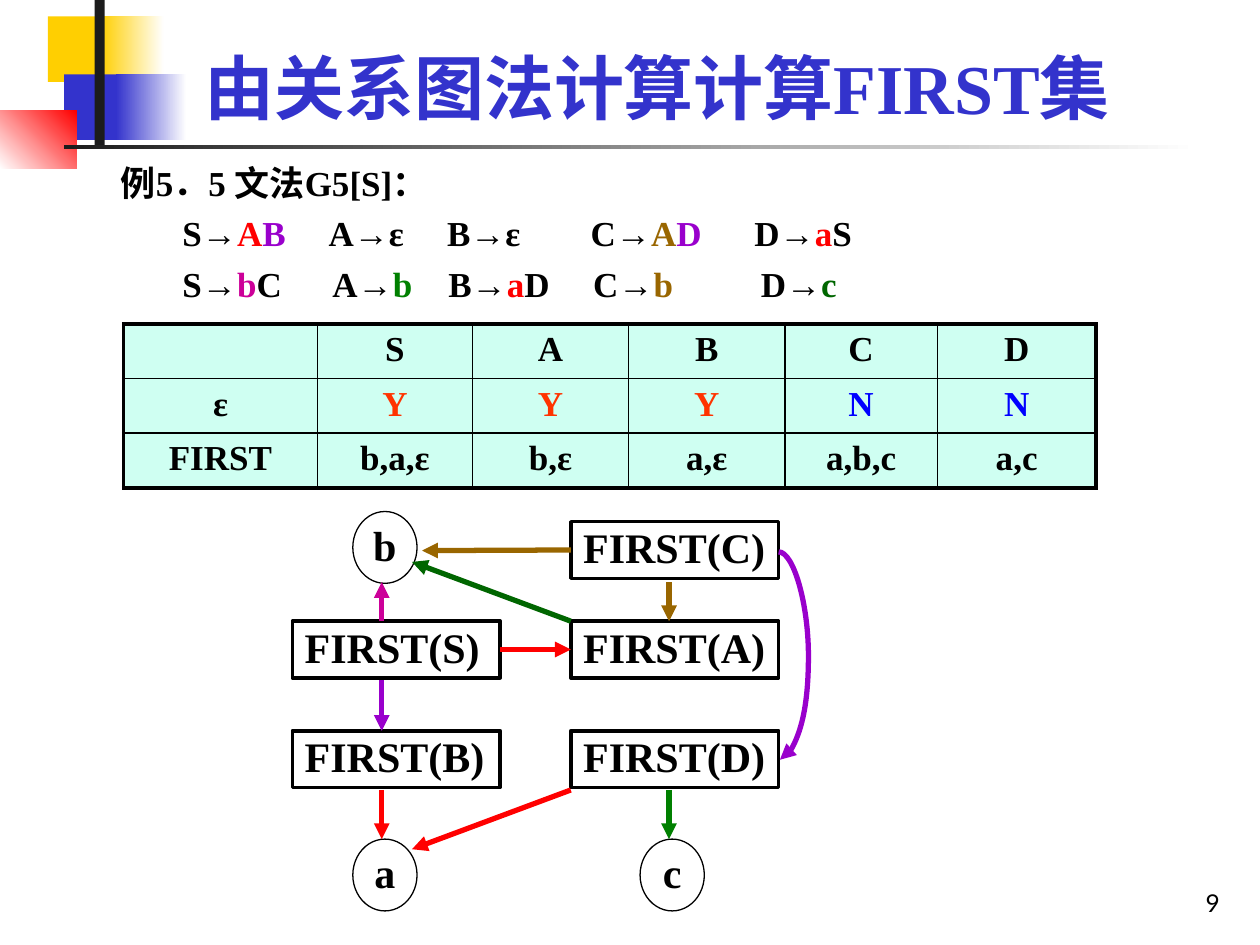
from lxml import etree
from pptx import Presentation
from pptx.dml.color import RGBColor
from pptx.enum.shapes import MSO_CONNECTOR, MSO_SHAPE
from pptx.enum.text import MSO_ANCHOR, PP_ALIGN
from pptx.oxml.ns import qn
from pptx.util import Inches, Pt

RECT, OVAL = MSO_SHAPE.RECTANGLE, MSO_SHAPE.OVAL
STRAIGHT, CURVE = MSO_CONNECTOR.STRAIGHT, MSO_CONNECTOR.CURVE
LEFT, CENTER, RIGHT = PP_ALIGN.LEFT, PP_ALIGN.CENTER, PP_ALIGN.RIGHT
TOP, MIDDLE, BOTTOM = MSO_ANCHOR.TOP, MSO_ANCHOR.MIDDLE, MSO_ANCHOR.BOTTOM
LEFT_SIDE, RIGHT_SIDE = 1, 3

BLACK, WHITE, INK = "000000", "FFFFFF", "1C1C1C"
YELLOW, BLUE, RED = "FFCF01", "3333CC", "FF0000"
PURPLE, BROWN, MAGENTA = "9900CC", "996600", "CC0099"
GREEN, DARK_GREEN, MINT = "008000", "006600", "CFFFF2"
YES, NO = "FF3300", "0000FF"


def rgb(value):
    return RGBColor.from_string(value)


class SlideBuilder:
    font = "Times New Roman"

    def __init__(self, slide):
        self.shapes = slide.shapes

    def style(self, paragraph, size, color=BLACK, align=LEFT, bold=True, font=None):
        paragraph.alignment = align
        paragraph.font.name = font or self.font
        paragraph.font.size = Pt(size)
        paragraph.font.bold = bold
        paragraph.font.color.rgb = rgb(color)

    def text(self, box, content, size, anchor=TOP, **style):
        frame = self.shapes.add_textbox(*map(Inches, box)).text_frame
        frame.word_wrap = True
        frame.vertical_anchor = anchor
        frame.text = content
        self.style(frame.paragraphs[0], size, **style)
        return frame

    def production_line(self, frame, productions, stops):
        paragraph = frame.add_paragraph()
        tabs = etree.SubElement(paragraph._p.get_or_add_pPr(), qn("a:tabLst"))
        for stop in stops:
            etree.SubElement(tabs, qn("a:tab"), pos=str(Inches(stop)), algn="l")
        paragraph.space_before = Pt(5)
        self.style(paragraph, 20)
        for head, *symbols in productions:
            for content, color in [(f"\t{head}→", BLACK), *symbols]:
                run = paragraph.add_run()
                run.text = content
                run.font.color.rgb = rgb(color)

    def block(self, box, start, end=None, angle=0):
        block = self.shapes.add_shape(RECT, *map(Inches, box))
        block.shadow.inherit = False
        block.line.fill.background()
        if end is None:
            block.fill.solid()
            block.fill.fore_color.rgb = rgb(start)
            return
        block.fill.gradient()
        block.fill.gradient_angle = angle
        for stop, color in zip(block.fill.gradient_stops, (start, end)):
            stop.color.rgb = rgb(color)

    def node(self, kind, box, label, line_width, align, margin):
        node = self.shapes.add_shape(kind, *map(Inches, box))
        node.shadow.inherit = False
        node.fill.background()
        node.line.color.rgb = rgb(BLACK)
        node.line.width = Pt(line_width)
        frame = node.text_frame
        frame.word_wrap = False
        frame.vertical_anchor = MIDDLE
        frame.margin_left = frame.margin_right = Inches(margin)
        frame.margin_top = frame.margin_bottom = 0
        frame.text = label
        frame.paragraphs[0].line_spacing = 0.9
        self.style(frame.paragraphs[0], 24, align=align)
        return node

    def arrow(self, start, end, color, source=None, target=None, kind=STRAIGHT):
        arrow = self.shapes.add_connector(kind, *map(Inches, (*start, *end)))
        if source:
            arrow.begin_connect(source, RIGHT_SIDE if start[0] < end[0] else LEFT_SIDE)
        if target:
            arrow.end_connect(target, LEFT_SIDE)
        arrow.line.color.rgb = rgb(color)
        arrow.line.width = Pt(3)
        etree.SubElement(arrow.line._get_or_add_ln(), qn("a:tailEnd"), type="triangle")
        etree.SubElement(arrow._element.spPr, qn("a:effectLst"))
        return arrow

    def table(self, box, widths, rows, colors):
        table = self.shapes.add_table(len(rows), len(widths), *map(Inches, box)).table
        table.first_row = table.horz_banding = False
        for column, width in zip(table.columns, widths):
            column.width = Inches(width)
        last_row, last_column = len(rows) - 1, len(widths) - 1
        for r, row in enumerate(rows):
            for c, content in enumerate(row):
                cell = table.cell(r, c)
                cell.text = content
                self.style(cell.text_frame.paragraphs[0], 20, colors.get(content, BLACK), CENTER)
                outer = {"L": c == 0, "R": c == last_column, "T": r == 0, "B": r == last_row}
                for side, thick in outer.items():
                    self.border(cell, side, 2.25 if thick else 1)
                cell.fill.solid()
                cell.fill.fore_color.rgb = rgb(MINT)

    def border(self, cell, side, width):
        properties = cell._tc.get_or_add_tcPr()
        line = etree.SubElement(properties, qn(f"a:ln{side}"), w=str(Pt(width)))
        fill = etree.SubElement(line, qn("a:solidFill"))
        etree.SubElement(fill, qn("a:srgbClr"), val=BLACK)


def main():
    presentation = Presentation()
    presentation.slide_width, presentation.slide_height = Inches(10), Inches(7.5)
    page = SlideBuilder(presentation.slides.add_slide(presentation.slide_layouts[6]))

    page.block((0.38, 0.13, 0.67, 0.52), YELLOW)
    page.block((0.8, 0.13, 0.5, 0.52), YELLOW, WHITE)
    page.block((0.51, 0.59, 0.64, 0.52), BLUE)
    page.block((0.92, 0.59, 0.56, 0.52), BLUE, WHITE)
    page.block((0, 0.88, 0.61, 0.46), WHITE, RED, 45)
    page.block((0.75, 0, 0.08, 1.15), INK)
    page.block((0.51, 1.15, 9, 0.03), INK, WHITE)

    page.text((7.7, 6.83, 2.08, 0.5), "9", 14, BOTTOM, align=RIGHT, bold=False, font="Lato")
    page.text((1.26, 0.23, 7.91, 0.84), "由关系图法计算计算FIRST集", 40, BOTTOM,
              color=BLUE, align=CENTER)

    grammar = page.text((0.86, 1.23, 8.7, 1.26), "例5．5 文法G5[S]：", 20)
    page.production_line(grammar, [
        ("S", ("A", RED), ("B", PURPLE)), ("A", ("ε", BLACK)), ("B", ("ε", BLACK)),
        ("C", ("A", BROWN), ("D", PURPLE)), ("D", ("a", RED), ("S", BLACK)),
    ], (0.49, 1.65, 2.59, 3.73, 5.03))
    page.production_line(grammar, [
        ("S", ("b", MAGENTA), ("C", BLACK)), ("A", ("b", GREEN)),
        ("B", ("a", RED), ("D", BLACK)), ("C", ("b", BROWN)), ("D", ("c", DARK_GREEN)),
    ], (0.49, 1.68, 2.6, 3.75, 5.08))

    page.table((0.98, 2.57, 7.72, 1.3), (1.54, 1.23, 1.24, 1.24, 1.21, 1.26), [
        ("", "S", "A", "B", "C", "D"),
        ("ε", "Y", "Y", "Y", "N", "N"),
        ("FIRST", "b,a,ε", "b,ε", "a,ε", "a,b,c", "a,c"),
    ], {"Y": YES, "N": NO})

    first_sets = {
        symbol: page.node(RECT, (x, y, 1.65, 0.45), f"FIRST({symbol})", 2, LEFT, 0.1)
        for symbol, x, y in [("S", 2.32, 4.93), ("B", 2.32, 5.8), ("C", 4.53, 4.14),
                             ("A", 4.53, 4.93), ("D", 4.53, 5.8)]
    }
    for terminal, x, y in [("a", 2.8, 6.66), ("b", 2.8, 4.06), ("c", 5.08, 6.66)]:
        page.node(OVAL, (x, y, 0.51, 0.57), terminal, 0.75, CENTER, 0)

    for x, start, end, color in [
        (3.03, 4.93, 4.62, MAGENTA), (3.03, 5.4, 5.8, PURPLE), (3.03, 6.27, 6.66, RED),
        (5.31, 4.62, 4.93, BROWN), (5.31, 6.27, 6.66, GREEN),
    ]:
        page.arrow((x, start), (x, end), color)
    page.arrow((4.53, 4.93), (3.27, 4.46), DARK_GREEN)
    page.arrow((4.53, 6.27), (3.27, 6.74), RED)
    page.arrow((4.53, 4.37), (3.35, 4.37), BROWN, source=first_sets["C"])
    page.arrow((3.97, 5.16), (4.53, 5.16), RED, first_sets["S"], first_sets["A"])

    c_to_d = page.arrow((6.18, 4.38), (6.19, 6.03), PURPLE, kind=CURVE)
    guides = c_to_d._element.spPr.find(qn("a:prstGeom")).get_or_add_avLst()
    etree.SubElement(guides, qn("a:gd"), name="adj1", fmla="val 2400000")

    presentation.save("out.pptx")


if __name__ == "__main__":
    main()
